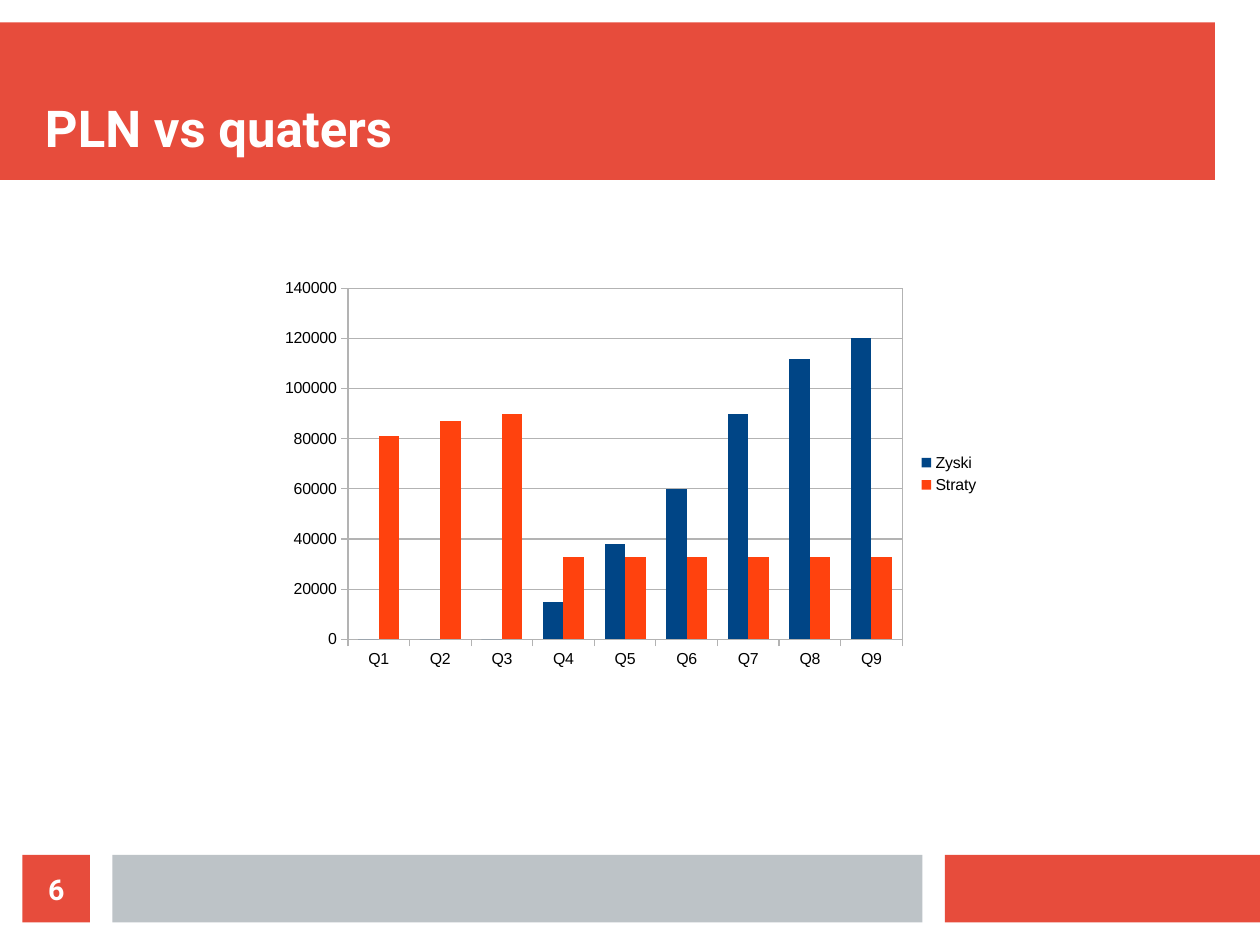
from lxml import etree
from pptx import Presentation
from pptx.chart import data
from pptx.dml.color import RGBColor
from pptx.enum import chart as kinds, shapes, text
from pptx.oxml import ns
from pptx.util import Cm, Pt

RED = RGBColor(0xE7, 0x4C, 0x3C)
SILVER = RGBColor(0xBD, 0xC3, 0xC7)
WHITE = RGBColor(0xFF, 0xFF, 0xFF)
BLACK = RGBColor(0, 0, 0)
GRID = RGBColor(0xB3, 0xB3, 0xB3)
NAVY = RGBColor(0x00, 0x45, 0x86)
ORANGE = RGBColor(0xFF, 0x42, 0x0E)

GAINS = [0, 0, 0, 15000, 38000, 60000, 90000, 112000, 120000]
LOSSES = [81000, 87000, 90000] + [33000] * 6


def add_bar(slide, left, top, width, height, color):
    """Add a plain filled rectangle, lengths in centimetres."""
    bar = slide.shapes.add_shape(shapes.MSO_SHAPE.RECTANGLE, Cm(left), Cm(top), Cm(width), Cm(height))
    bar.shadow.inherit = False
    bar.fill.solid()
    bar.fill.fore_color.rgb = color
    bar.line.fill.background()
    return bar


def set_text(shape, words, size, align, anchor):
    """Write one bold white line into a shape without margins."""
    frame = shape.text_frame
    frame.text = words
    frame.word_wrap = True
    frame.auto_size = text.MSO_AUTO_SIZE.NONE
    frame.vertical_anchor = anchor
    frame.margin_left = frame.margin_top = frame.margin_right = frame.margin_bottom = 0
    line = frame.paragraphs[0]
    line.alignment = align
    font = line.runs[0].font
    font.name, font.size, font.bold = "Roboto", Pt(size), True
    font.color.rgb = WHITE


def add_head(slide, left, top, width, height):
    """Draw the title band and place the title on it."""
    add_bar(slide, left, top, width, height, RED)
    title = slide.shapes.title
    slide.shapes._spTree.append(title._element)
    title.left, title.top = Cm(left + 1), Cm(top + 0.5)
    title.width, title.height = Cm(width - 1), Cm(height - 1)
    set_text(title, "PLN vs quaters", 32, text.PP_ALIGN.LEFT, text.MSO_ANCHOR.BOTTOM)


def add_foot(slide, left, top, width, height):
    """Draw the page number square and the two footer bars."""
    gap, mid = 0.5, 18
    page = add_bar(slide, left, top, height, height, RED)
    set_text(page, "6", 18, text.PP_ALIGN.CENTER, text.MSO_ANCHOR.MIDDLE)
    start = left + height + gap
    add_bar(slide, start, top, mid, height, SILVER)
    end = start + mid + gap
    add_bar(slide, end, top, left + width - end, height, RED)


def frame_plot(chart):
    """Fix the inner plot area and give it a thin outline."""
    plot = chart._chartSpace.chart.plotArea
    for old in plot.findall(ns.qn("c:layout")):
        plot.remove(old)
    layout = etree.Element(ns.qn("c:layout"))
    manual = etree.SubElement(layout, ns.qn("c:manualLayout"))
    parts = [("layoutTarget", "inner"), ("xMode", "edge"), ("yMode", "edge"),
             ("x", "0.107"), ("y", "0.043"), ("w", "0.77"), ("h", "0.865")]
    for tag, val in parts:
        etree.SubElement(manual, ns.qn("c:" + tag)).set("val", val)
    plot.insert(0, layout)
    props = etree.SubElement(plot, ns.qn("c:spPr"))
    etree.SubElement(props, ns.qn("a:noFill"))
    line = etree.SubElement(props, ns.qn("a:ln"), w="0")
    fill = etree.SubElement(line, ns.qn("a:solidFill"))
    etree.SubElement(fill, ns.qn("a:srgbClr")).set("val", str(GRID))


def add_graph(slide, left, top, width, height):
    """Add the column chart of gains and losses per quarter."""
    table = data.CategoryChartData()
    table.categories = [f"Q{num}" for num in range(1, 10)]
    table.add_series("Zyski", GAINS)
    table.add_series("Straty", LOSSES)
    chart = slide.shapes.add_chart(kinds.XL_CHART_TYPE.COLUMN_CLUSTERED, Cm(left), Cm(top),
                                   Cm(width), Cm(height), table).chart
    chart.has_title = False
    chart.font.name, chart.font.size = "Arial", Pt(10)
    chart.font.color.rgb = BLACK
    chart.has_legend = True
    chart.legend.position = kinds.XL_LEGEND_POSITION.RIGHT
    chart.legend.include_in_layout = False
    plot = chart.plots[0]
    plot.gap_width, plot.overlap, plot.vary_by_categories = 100, 0, False
    for series, color in zip(plot.series, (NAVY, ORANGE)):
        series.format.fill.solid()
        series.format.fill.fore_color.rgb = color
    across, up = chart.category_axis, chart.value_axis
    up.minimum_scale, up.maximum_scale, up.major_unit = 0, 140000, 20000
    up.has_major_gridlines = True
    for axis in (across, up):
        axis.major_tick_mark = kinds.XL_TICK_MARK.OUTSIDE
        axis.minor_tick_mark = kinds.XL_TICK_MARK.NONE
        axis.tick_labels.number_format = "General"
        axis.tick_labels.number_format_is_linked = False
    for part in (across, up, up.major_gridlines):
        part.format.line.color.rgb = GRID
        part.format.line.width = 0
    frame_plot(chart)


def main():
    """Build the slide and save it."""
    deck = Presentation()
    deck.slide_width, deck.slide_height = Cm(28), Cm(21)
    slide = deck.slides.add_slide(deck.slide_layouts[5])
    add_head(slide, 0, 0.5, 27, 3.5)
    add_graph(slide, 6.02, 6.02, 16, 9.02)
    add_foot(slide, 0.5, 19, 27.5, 1.5)
    deck.save("out.pptx")


if __name__ == "__main__":
    main()
